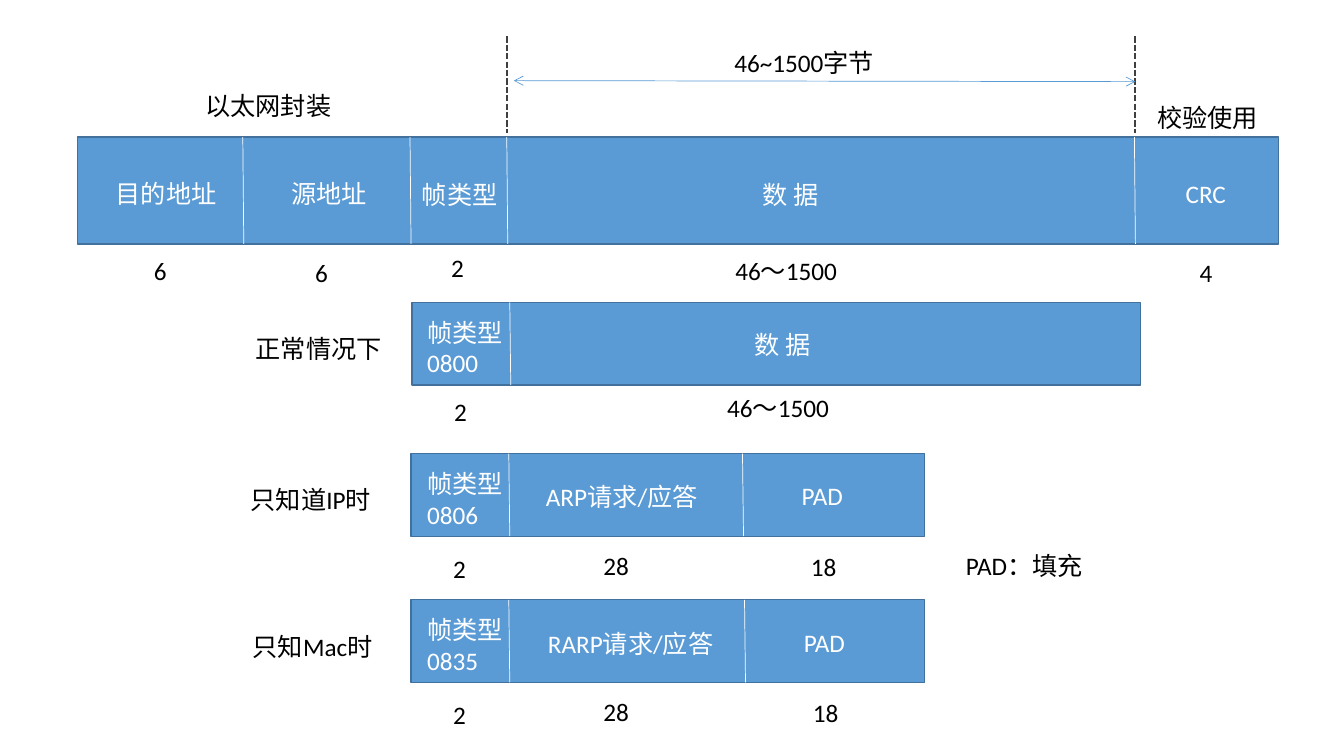
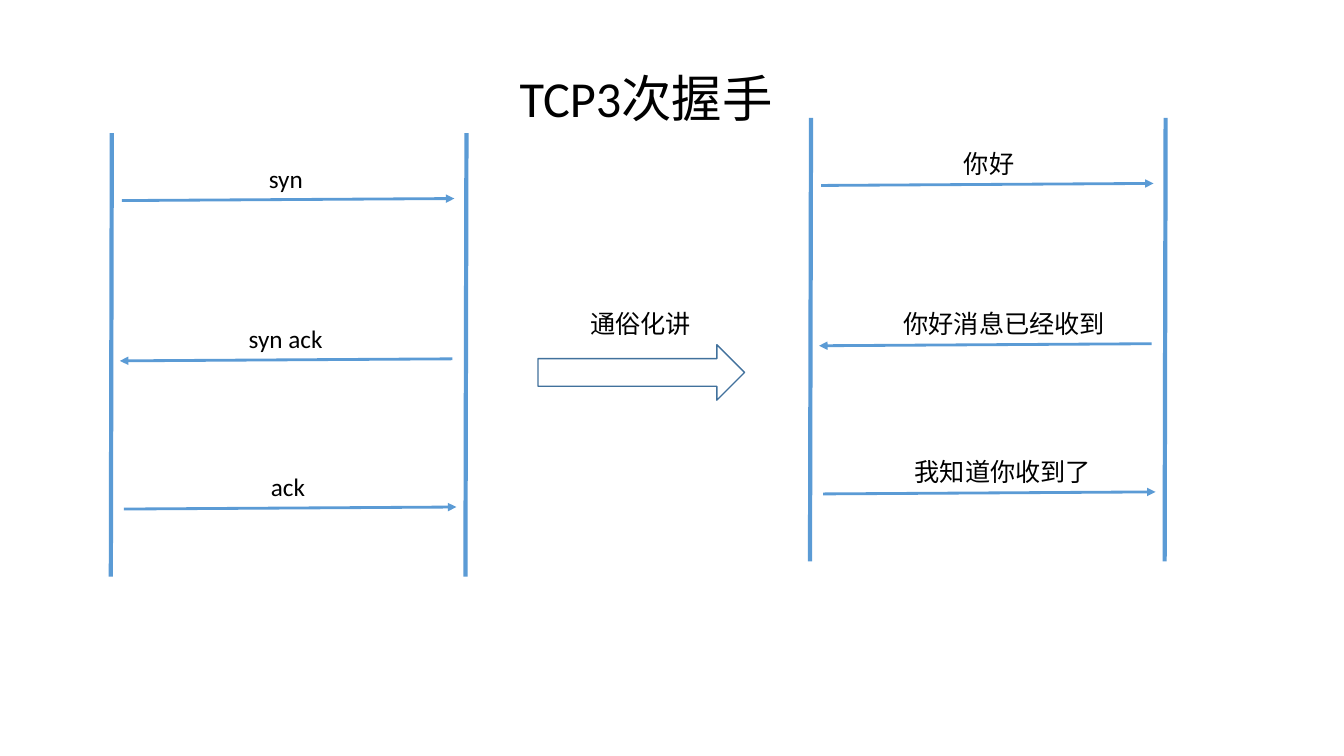
"""Build two slides: Ethernet frame layouts and the TCP three-way handshake."""
from lxml import etree
from pptx import Presentation, util as u
from pptx.dml.color import RGBColor
from pptx.enum import dml, shapes, text
from pptx.oxml.ns import qn

FONT = "Calibri"
COLORS = {"fill": "5B9BD5", "border": "41719C", "guide": "404040",
          "white": "FFFFFF", "black": "000000"}
LABEL_H = 0.4

TYPE_LEFT, TYPE_WIDTH = 4.14, 0.95
FRAMES = [
    {"bar": (0.77, 1.36, 11.92, 1.06), "dividers": (2.42, 4.08, 5.04, 11.27),
     "cells": [("目的地址", 1.05, 1.2, 0.36), ("源地址", 2.79, 0.95, 0.36),
               ("帧类型", 4.09, 0.95, 0.37), ("数 据", 7.47, 0.82, 0.37),
               ("CRC", 11.67, 0.6, 0.36)],
     "notes": [("6", 1.43, 0.32, 1.12), ("6", 3.03, 0.32, 1.14),
               ("2", 4.38, 0.32, 1.09), ("46～1500", 7.2, 1.33, 1.12),
               ("4", 11.81, 0.32, 1.14), ("以太网封装", 1.94, 1.45, -0.51),
               ("校验使用", 11.39, 1.2, -0.39), ("46~1500字节", 7.19, 1.72, -0.94)]},
    {"bar": (4.09, 3, 7.23, 0.82), "dividers": (5.07,),
     "cells": [("帧类型\n0800", TYPE_LEFT, TYPE_WIDTH, 0.1), ("数 据", 7.39, 0.82, 0.22)],
     "notes": [("正常情况下", 2.44, 1.45, 0.26), ("2", 4.41, 0.32, 0.88),
               ("46～1500", 7.12, 1.33, 0.84)]},
]
ADDRESS_LOOKUPS = [
    (4.5, "只知道IP时", "0806", ("ARP请求/应答", 5.32, 1.98, 0.23), 0),
    (5.95, "只知Mac时", "0835", ("RARP请求/应答", 5.34, 2.08, 0.23), 0.02),
]
for top, caption, code, payload, shift in ADDRESS_LOOKUPS:
    FRAMES.append({
        "bar": (4.08, top, 5.1, 0.82), "dividers": (5.06, 7.38 + shift),
        "cells": [(f"帧类型\n{code}", TYPE_LEFT, TYPE_WIDTH, 0.1), payload,
                  ("PAD", 7.86 + shift, 0.63, 0.22)],
        "notes": [(caption, 2.39 + shift, 1.51, 0.26), ("2", 4.4, 0.32, 0.94),
                  ("28", 5.89, 0.45, 0.91), ("18", 7.95 + shift, 0.45, 0.92)]})
PAD_NOTE = ("PAD：填充", 9.49, 5.41, 1.44)
DATA_GUIDES = (5.03, 11.27)

TITLE = ("TCP3次握手", 5.06, 0.62, 2.84)
LIFELINE_GAP, LIFELINE_H = 3.52, 4.4
ARROW_LENGTH, ARROW_RISE, LABEL_RISE = 3.3, 0.02, 0.42
STEPS = [(0.1, 0.67, False), (0.08, 2.26, True), (0.12, 3.73, False)]
DIALOGUES = [
    (1.11, 1.32, [("syn", 2.57, 0.54), ("syn ack", 2.37, 0.94), ("ack", 2.59, 0.54)]),
    (8.05, 1.17, [("你好", 9.47, 0.7), ("你好消息已经收到", 8.87, 2.2),
                  ("我知道你收到了", 8.98, 1.95)]),
]
PLAIN_TERMS = ("通俗化讲", 5.76, 3.01, 1.2)


def rgb(name):
    return RGBColor.from_string(COLORS[name])


def add_label(slide, words, left, top, width, color="black", size=18):
    height = LABEL_H * size / 18 if "\n" not in words else 0.7
    label = slide.shapes.add_textbox(*map(u.Inches, (left, top, width, height)))
    frame = label.text_frame
    frame.word_wrap = False
    frame.auto_size = text.MSO_AUTO_SIZE.SHAPE_TO_FIT_TEXT
    frame.text = words
    for paragraph in frame.paragraphs:
        for run in paragraph.runs:
            run.font.name, run.font.size = FONT, u.Pt(size)
            run.font.color.rgb = rgb(color)


def add_line(slide, start, end, color, width, dash=None, head=None, tail=None):
    line = slide.shapes.add_connector(
        shapes.MSO_CONNECTOR.STRAIGHT, *map(u.Inches, (*start, *end)))
    line.line.color.rgb, line.line.width = rgb(color), u.Pt(width)
    if dash:
        line.line.dash_style = dash
    outline = line.line._get_or_add_ln()
    for tag, kind in (("a:headEnd", head), ("a:tailEnd", tail)):
        if kind:
            etree.SubElement(outline, qn(tag)).set("type", kind)
    etree.SubElement(line._element.spPr, qn("a:effectLst"))


def add_block(slide, kind, box, fill=None):
    block = slide.shapes.add_shape(kind, *map(u.Inches, box))
    block.shadow.inherit = False
    if fill:
        block.fill.solid()
        block.fill.fore_color.rgb = rgb(fill)
    else:
        block.fill.background()
    block.line.color.rgb, block.line.width = rgb("border"), u.Pt(1)


def add_frame(slide, bar, dividers, cells, notes):
    left, top, width, height = bar
    add_block(slide, shapes.MSO_SHAPE.RECTANGLE, bar, "fill")
    for x in dividers:
        add_line(slide, (x - 0.01, top), (x, top + height), "white", 0.5)
    for color, labels in (("white", cells), ("black", notes)):
        for words, x, label_width, drop in labels:
            add_label(slide, words, x, top + drop, label_width, color)


def add_dialogue(slide, left, top, messages):
    for x in (left, left + LIFELINE_GAP):
        add_line(slide, (x, top), (x - 0.01, top + LIFELINE_H), "fill", 3)
    for (inset, drop, reply), (words, x, width) in zip(STEPS, messages):
        y = top + drop
        ends = [(left + inset, y), (left + inset + ARROW_LENGTH, y - ARROW_RISE)]
        if reply:
            ends.reverse()
        add_line(slide, *ends, "fill", 2, tail="triangle")
        add_label(slide, words, x, y - LABEL_RISE, width)


def main():
    deck = Presentation()
    deck.slide_width, deck.slide_height = u.Inches(13.34), u.Inches(7.5)
    ethernet, handshake = (deck.slides.add_slide(deck.slide_layouts[6]) for _ in range(2))

    for frame in FRAMES:
        add_frame(ethernet, **frame)
    for x in DATA_GUIDES:
        add_line(ethernet, (x, 0.36), (x, 1.32), "guide", 1.5, dml.MSO_LINE.SQUARE_DOT)
    add_line(ethernet, (5.1, 0.8), (11.27, 0.81), "fill", 0.5, head="arrow", tail="arrow")
    add_label(ethernet, *PAD_NOTE)

    add_label(handshake, *TITLE, size=36)
    for dialogue in DIALOGUES:
        add_dialogue(handshake, *dialogue)
    add_block(handshake, shapes.MSO_SHAPE.RIGHT_ARROW, (5.34, 3.42, 2.05, 0.55))
    add_label(handshake, *PLAIN_TERMS)
    deck.save("out.pptx")


if __name__ == "__main__":
    main()
